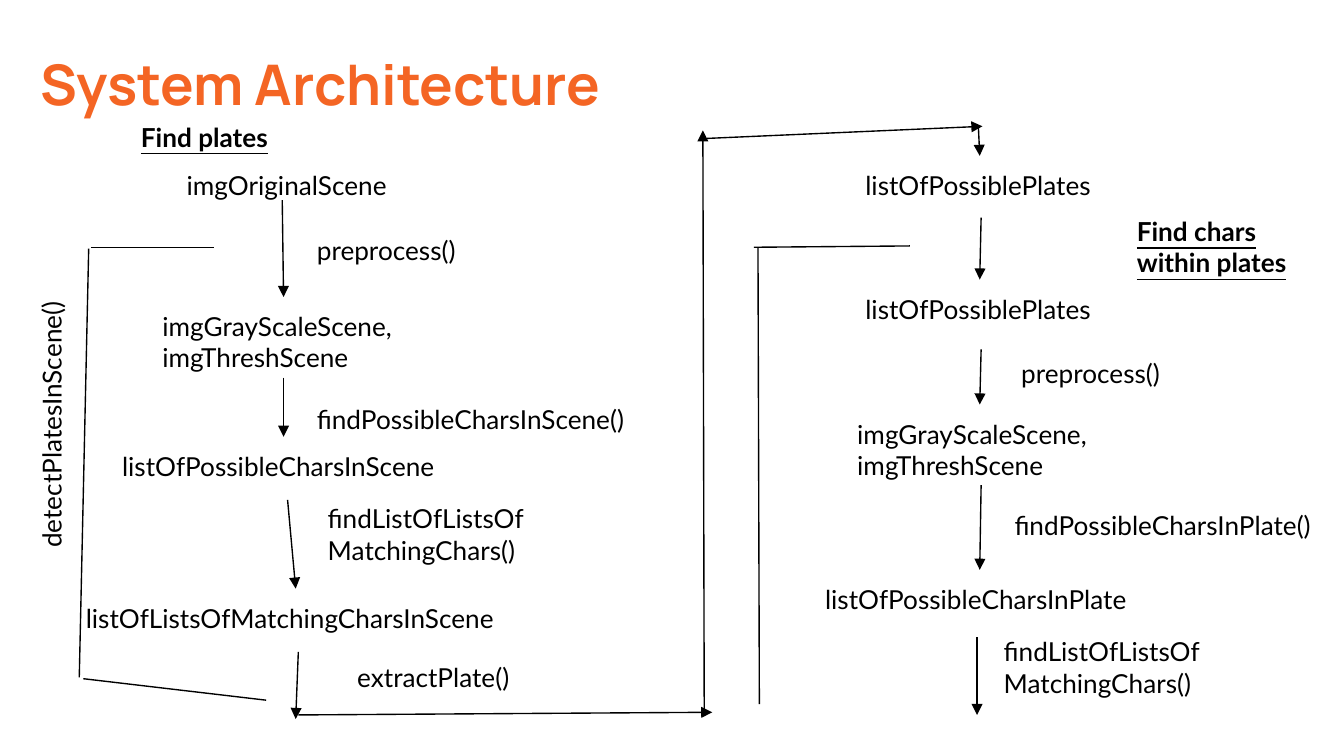
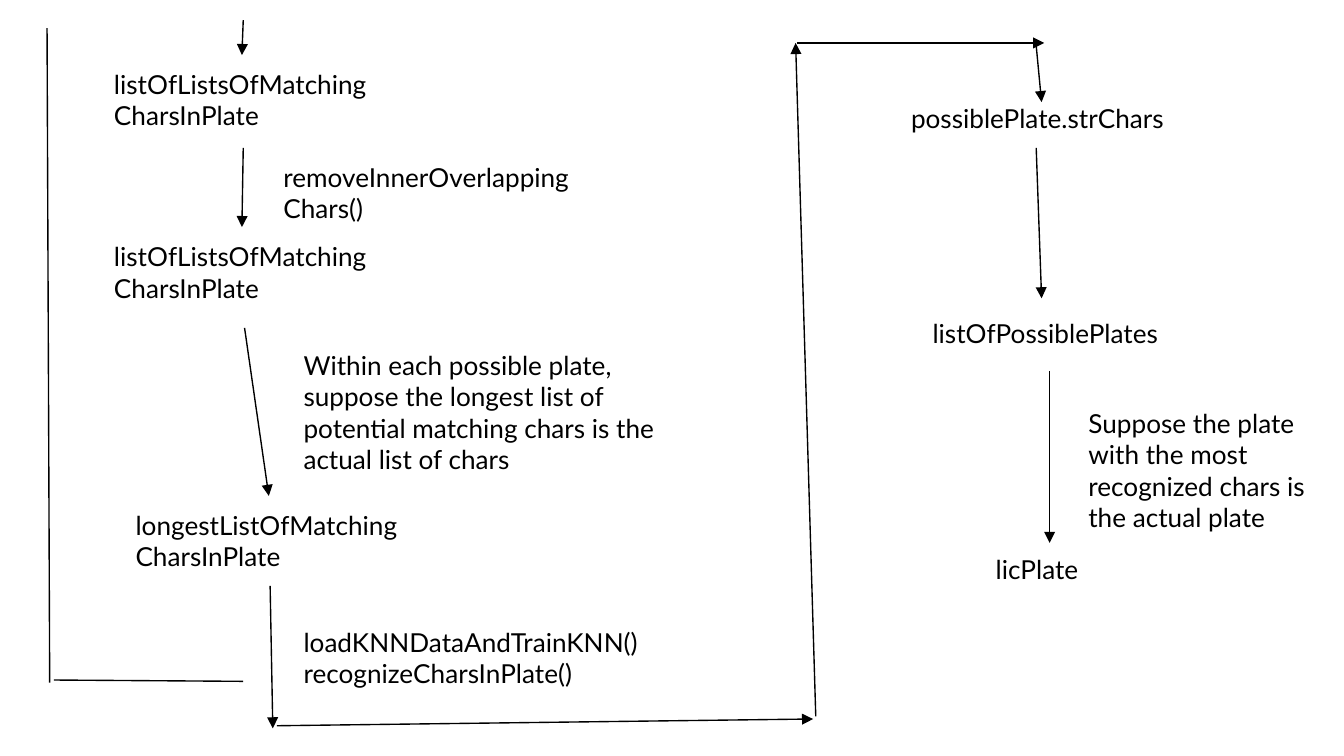
from lxml import etree
from pptx import Presentation
from pptx.dml.color import RGBColor
from pptx.enum.shapes import MSO_CONNECTOR
from pptx.enum.text import MSO_ANCHOR, PP_ALIGN
from pptx.oxml.ns import qn
from pptx.util import Emu, Pt

EMU_PER_PX = 9144  # 100 px to the inch
SLIDE_WIDTH = 1000
INSET = 10
ORANGE, BLACK, WHITE = "F46524", "000000", "FFFFFF"
TITLE_FONT, BODY_FONT = "Manrope", "Lato"
TITLE_SIZE, BODY_SIZE = 30, 14
LINE_WIDTH = 0.75
NOTE_SIZE = (802, 94)

# Each label: text, left, top, width, height
PLATE_HEADINGS = [
    ("Find plates", 95, 80, 117, 44),
    ("Find chars within plates", 836, 150, 142, 70),
]
PLATE_DATA = [
    ("imgOriginalScene", 129, 116, 181, 32),
    ("imgGrayScaleScene, imgThreshScene", 111, 221, 201, 60),
    ("listOfPossibleCharsInScene", 81, 325, 261, 44),
    ("listOfListsOfMatchingCharsInScene", 54, 438, 330, 44),
    ("listOfPossiblePlates", 634, 116, 191, 44),
    ("listOfPossiblePlates", 634, 208, 191, 60),
    ("imgGrayScaleScene, imgThreshScene", 628, 301, 201, 60),
    ("listOfPossibleCharsInPlate", 604, 424, 251, 44),
]
PLATE_STEPS = [
    ("preprocess()", 226, 164, 137, 41),
    ("findPossibleCharsInScene()", 226, 290, 261, 41),
    ("findListOfListsOfMatchingChars()", 234, 364, 181, 41),
    ("extractPlate()", 256, 482, 137, 41),
    ("preprocess()", 750, 256, *NOTE_SIZE),
    ("findPossibleCharsInPlate()", 745, 369, *NOTE_SIZE),
    ("findListOfListsOfMatchingChars()", 737, 463, 173, 94),
]
CHAR_DATA = [
    ("listOfListsOfMatchingCharsInPlate", 75, 41, 210, 94),
    ("listOfListsOfMatchingCharsInPlate", 75, 169, 210, 72),
    ("longestListOfMatchingCharsInPlate", 91, 369, 219, 62),
    ("possiblePlate.strChars", 668, 66, *NOTE_SIZE),
    ("listOfPossiblePlates", 684, 226, *NOTE_SIZE),
    ("licPlate", 731, 402, *NOTE_SIZE),
]
CHAR_STEPS = [
    ("removeInnerOverlappingChars()", 201, 110, 238, 94),
    ("Within each possible plate, suppose the longest list of potential "
     "matching chars is the actual list of chars", 216, 250, 315, 94),
    ("loadKNNDataAndTrainKNN()\nrecognizeCharsInPlate()", 216, 456, 278, 94),
    ("Suppose the plate with the most recognized chars is the actual plate",
     800, 293, 184, 94),
]

# Each line: start x, start y, end x, end y
PLATE_ARROWS = [
    (210, 149, 211, 221), (211, 281, 211, 325), (214, 372, 220, 438),
    (222, 485, 220, 535), (222, 532, 530, 530), (524, 530, 523, 97),
    (526, 103, 731, 94), (728, 95, 729, 116), (730, 162, 729, 208),
    (730, 260, 729, 301), (730, 361, 729, 424), (727, 474, 727, 532),
]
PLATE_BRACKETS = [
    (159, 184, 68, 184), (66, 185, 59, 504), (62, 505, 198, 521),
    (677, 183, 561, 184), (564, 184, 565, 524),
]
CHAR_ARROWS = [
    (181, 15, 180, 41), (181, 110, 180, 169), (182, 244, 200, 369),
    (201, 436, 203, 542), (206, 540, 605, 535), (607, 533, 592, 32),
    (593, 32, 777, 32), (771, 34, 775, 76), (771, 110, 775, 222),
    (781, 276, 781, 404),
]
CHAR_BRACKETS = [(35, 21, 37, 508), (40, 506, 181, 507)]


def px(length):
    return Emu(length * EMU_PER_PX)


def color(hex_string):
    return RGBColor.from_string(hex_string)


def add_blank_slide(presentation):
    slide = presentation.slides.add_slide(presentation.slide_layouts[6])
    slide.background.fill.solid()
    slide.background.fill.fore_color.rgb = color(WHITE)
    return slide


def add_label(slide, text, left, top, width, height, font_name=BODY_FONT,
              size=BODY_SIZE, hex_color=BLACK, bold=False, underline=False):
    shape = slide.shapes.add_textbox(px(left), px(top), px(width), px(height))
    frame = shape.text_frame
    frame.word_wrap = True
    frame.vertical_anchor = MSO_ANCHOR.TOP
    frame.margin_left = frame.margin_right = px(INSET)
    frame.margin_top = frame.margin_bottom = px(INSET)
    paragraph = frame.paragraphs[0]
    paragraph.text = text
    paragraph.alignment = PP_ALIGN.LEFT
    for run in paragraph.runs:
        run.font.name = font_name
        run.font.size = Pt(size)
        run.font.bold = bold
        run.font.underline = underline
        run.font.color.rgb = color(hex_color)
    return shape


def add_title(slide, text):
    add_label(slide, text, 20, 27, 932, 70, TITLE_FONT, TITLE_SIZE, ORANGE,
              bold=True)


def add_line(slide, start_x, start_y, end_x, end_y, arrow=False):
    connector = slide.shapes.add_connector(
        MSO_CONNECTOR.STRAIGHT, px(start_x), px(start_y), px(end_x), px(end_y))
    connector.line.color.rgb = color(BLACK)
    connector.line.width = Pt(LINE_WIDTH)
    if arrow:
        outline = connector.line._get_or_add_ln()
        etree.SubElement(outline, qn("a:tailEnd"), type="triangle")
    etree.SubElement(connector._element.spPr, qn("a:effectLst"))


def add_flow(slide, labels, arrows, brackets):
    """Add the labels of a flow, the arrows between them and its brackets."""
    for label in labels:
        add_label(slide, *label)
    for arrow in arrows:
        add_line(slide, *arrow, arrow=True)
    for bracket in brackets:
        add_line(slide, *bracket)


def add_plate_slide(presentation):
    slide = add_blank_slide(presentation)
    add_title(slide, "System Architecture")
    for heading in PLATE_HEADINGS:
        add_label(slide, *heading, bold=True, underline=True)
    add_flow(slide, PLATE_DATA + PLATE_STEPS, PLATE_ARROWS, PLATE_BRACKETS)
    detect_label = add_label(slide, "detectPlatesInScene()", -70, 290, 214, 41)
    detect_label.rotation = 270


def add_char_slide(presentation):
    slide = add_blank_slide(presentation)
    add_flow(slide, CHAR_DATA + CHAR_STEPS, CHAR_ARROWS, CHAR_BRACKETS)


def main():
    presentation = Presentation()
    presentation.slide_width = px(SLIDE_WIDTH)
    presentation.slide_height = px(SLIDE_WIDTH) * 9 // 16
    add_plate_slide(presentation)
    add_char_slide(presentation)
    presentation.save("out.pptx")


if __name__ == "__main__":
    main()
